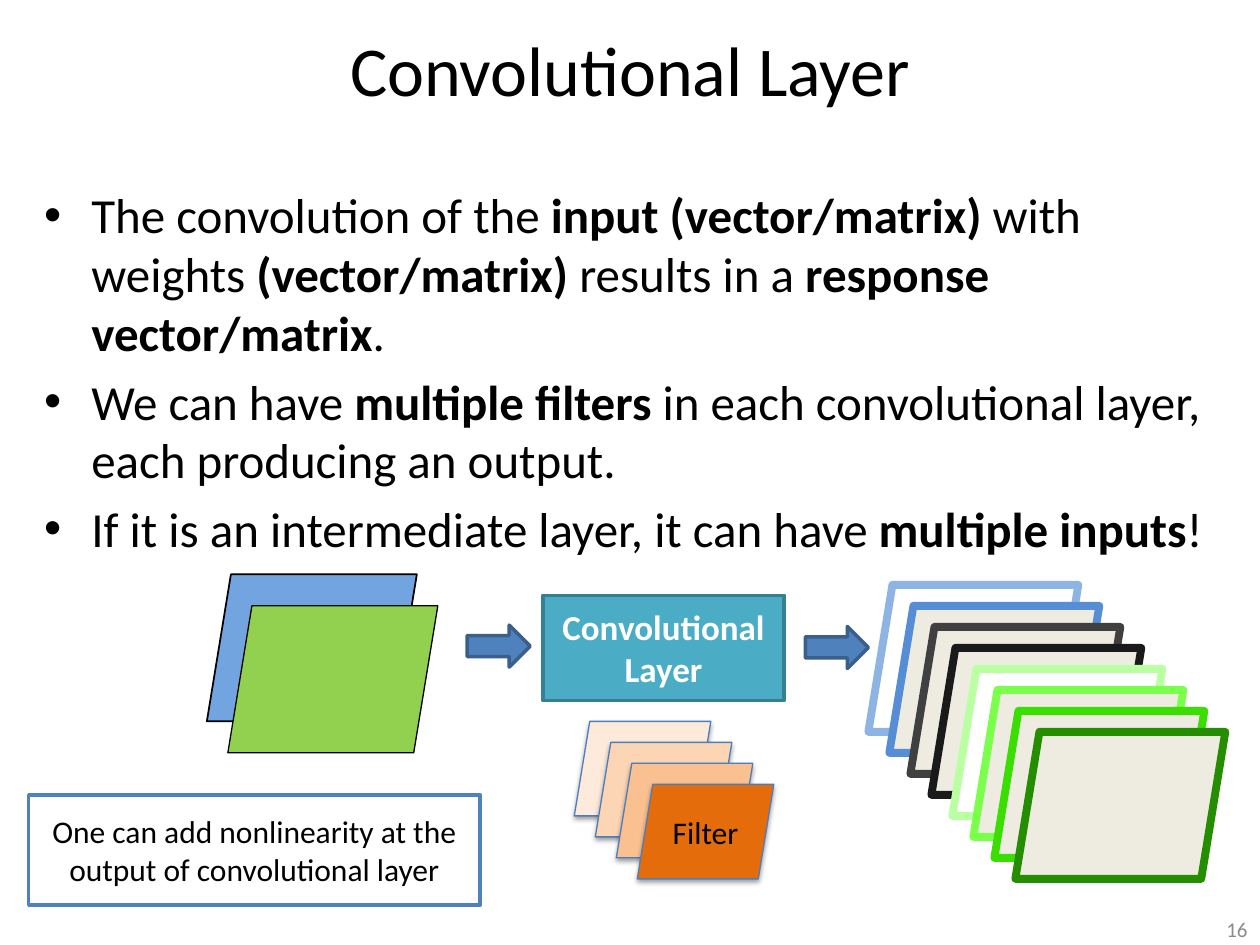
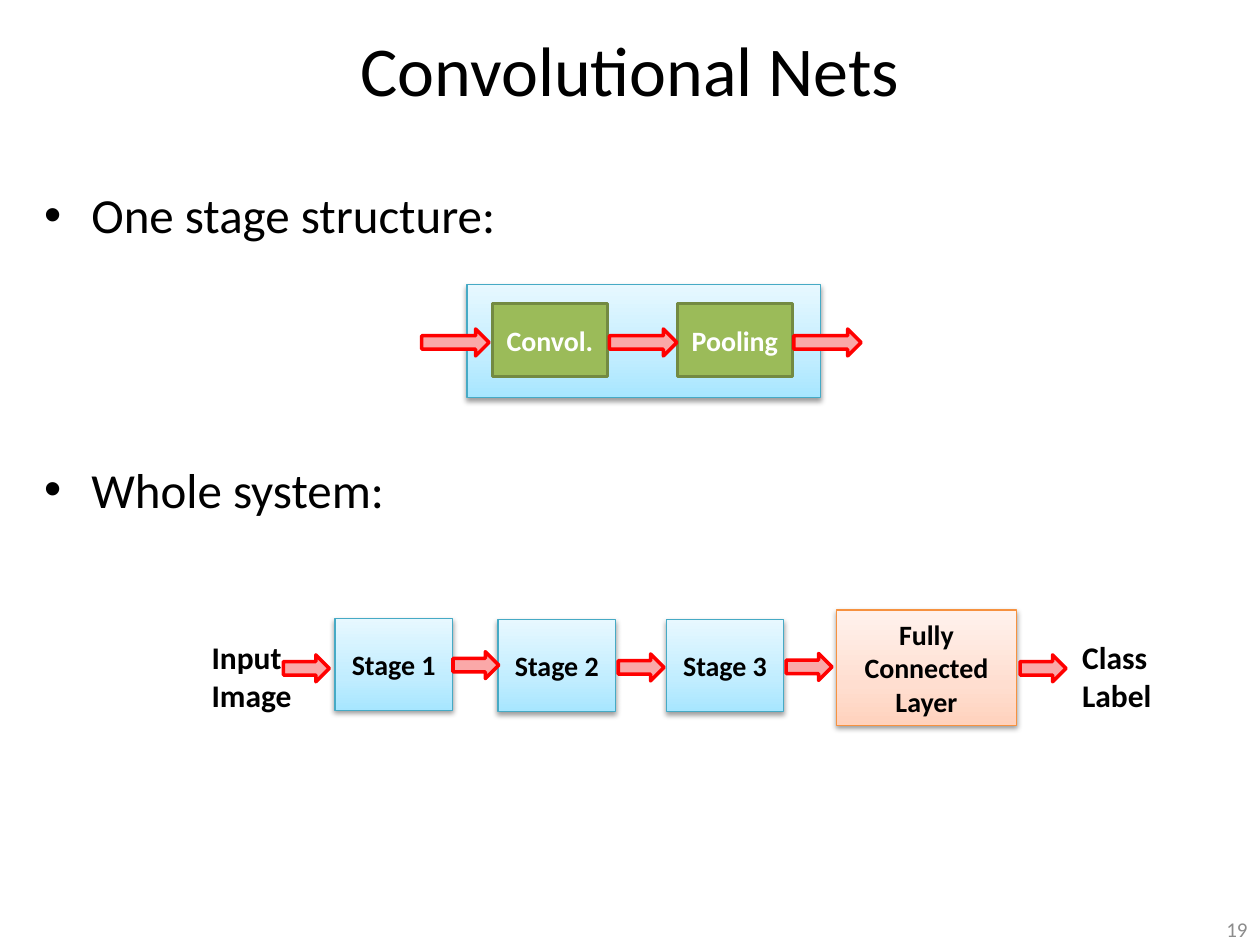
from pptx import Presentation
from pptx.dml.color import RGBColor
from pptx.enum.shapes import MSO_SHAPE as Shape
from pptx.enum.text import MSO_ANCHOR as Anchor, MSO_AUTO_SIZE as AutoSize, PP_ALIGN as Align
from pptx.oxml import parse_xml
from pptx.oxml.ns import nsdecls, qn
from pptx.util import Pt

BLACK, WHITE = "000000", "FFFFFF"
BLUE, BLUE_EDGE, IVORY = "4F81BD", "3A5F8C", "EEECE1"
GREEN, GREEN_EDGE = "9BBB59", "738A42"
PINK, RED = "FAA8A8", "FF0000"
SKY, SKY_EDGE = ((0, "A7E6FF"), (35, "C1EDFF"), (100, "E7F8FF")), "46AAC5"
PEACH, PEACH_EDGE = ((0, "FFD2BD"), (35, "FFDED0"), (100, "FFF2ED")), "F69240"


def rgb(hex_color):
    return RGBColor.from_string(hex_color)


class Deck:
    font = "Calibri"
    bullet_gap = 5.6

    def __init__(self):
        self.prs = Presentation()
        self.prs.slide_width, self.prs.slide_height = Pt(720), Pt(540)

    def slide(self, title, number):
        self.s = self.prs.slides.add_slide(self.prs.slide_layouts[1])
        self.shapes = self.s.shapes
        sp = self.s.shapes.title
        self.place(sp, 0, 0, 720, 78)
        self.set_text(sp, title, 40)
        self.label(552, 522, 168, 18, str(number), 12, color="8C8C8C",
                   align=Align.RIGHT, anchor=Anchor.MIDDLE)

    def group(self):
        self.shapes = self.s.shapes.add_group_shape().shapes

    def place(self, sp, x, y, w, h):
        sp.left, sp.top, sp.width, sp.height = Pt(x), Pt(y), Pt(w), Pt(h)

    def style(self, p, size, color=BLACK, bold=None, align=None):
        p.font.name, p.font.size, p.font.bold = self.font, Pt(size), bold
        p.font.color.rgb = rgb(color)
        p.alignment = align

    def set_text(self, sp, text, size, color=BLACK, bold=None,
                 align=Align.CENTER, anchor=Anchor.MIDDLE):
        tf = sp.text_frame
        tf.word_wrap, tf.vertical_anchor = True, anchor
        tf.text = text
        self.style(tf.paragraphs[0], size, color, bold, align)

    def bullets(self, items):
        sp = self.s.placeholders[1]
        self.place(sp, 18, 102, 684, 414)
        tf = sp.text_frame
        tf.auto_size = AutoSize.NONE
        for i, (text, gap) in enumerate(items):
            p = tf.add_paragraph() if i else tf.paragraphs[0]
            for j, part in enumerate(text.split("**")):
                r = p.add_run()
                r.text = part
                if j % 2:
                    r.font.bold = True
            self.style(p, 28)
            p.space_before = Pt(gap)

    def label(self, x, y, w, h, text, size, color=BLACK, bold=None,
              align=Align.LEFT, anchor=Anchor.TOP):
        sp = self.shapes.add_textbox(Pt(x), Pt(y), Pt(w), Pt(h))
        self.set_text(sp, text, size, color, bold, align, anchor)

    def shape(self, kind, x, y, w, h, fill, line, width, shadow=False):
        sp = self.shapes.add_shape(kind, Pt(x), Pt(y), Pt(w), Pt(h))
        sp.shadow.inherit = False
        sp.line.color.rgb, sp.line.width = rgb(line), Pt(width)
        if isinstance(fill, str):
            sp.fill.solid()
            sp.fill.fore_color.rgb = rgb(fill)
        else:
            self.gradient(sp, fill)
        if shadow:
            self.shadow(sp)
        return sp

    def gradient(self, sp, stops):
        gs = "".join(f'<a:gs pos="{pos * 1000}"><a:srgbClr val="{c}"/></a:gs>' for pos, c in stops)
        sp._element.spPr.find(qn("a:prstGeom")).addnext(parse_xml(
            f'<a:gradFill {nsdecls("a")}><a:gsLst>{gs}</a:gsLst>'
            '<a:lin ang="16200000" scaled="0"/></a:gradFill>'))

    def shadow(self, sp):
        sp._element.spPr.find(qn("a:effectLst")).append(parse_xml(
            f'<a:outerShdw {nsdecls("a")} blurRad="{Pt(3.1)}" dist="{Pt(1.6)}" dir="5400000" '
            'rotWithShape="0"><a:srgbClr val="000000"><a:alpha val="38000"/></a:srgbClr></a:outerShdw>'))

    def box(self, x, y, w, h, fill, line, width=2, text=None, size=16,
            color=WHITE, bold=True, shadow=False):
        sp = self.shape(Shape.RECTANGLE, x, y, w, h, fill, line, width, shadow)
        if text:
            self.set_text(sp, text, size, color, bold)

    def card(self, x, y, w, h, fill, line, width, shadow=False):
        sp = self.shape(Shape.PARALLELOGRAM, x, y, w, h, fill, line, width, shadow)
        sp.adjustments[0] = 0.164
        return sp

    def arrow(self, x, y, w, h, fill=PINK, line=RED):
        self.shape(Shape.RIGHT_ARROW, x, y, w, h, fill, line, 2)


def convolutional_layer(deck):
    deck.slide("Convolutional Layer", 16)
    deck.bullets([(text, deck.bullet_gap) for text in (
        "The convolution of the **input (vector/matrix)** with weights **(vector/matrix) **"
        "results in a **response vector/matrix**.",
        "We can have **multiple filters **in each convolutional layer, each producing an output.",
        "If it is an intermediate layer, it can have **multiple inputs**!")])

    deck.card(118.2, 328.2, 120, 84, "72A4E0", BLACK, 1)
    deck.card(130.2, 346.2, 120, 84, "92D050", BLACK, 0.75)
    deck.box(310.2, 340.2, 138, 60, "4BACC6", "377F92", text="Convolutional Layer", size=20)
    deck.arrow(267, 357.2, 36, 24, BLUE, BLUE_EDGE)
    deck.arrow(460.2, 358, 36, 24, BLUE, BLUE_EDGE)

    step = 12
    for i, fill in enumerate(("FDEADA", "FCD5B5", "FAC090", "E46C0A")):
        front_filter = deck.card(328.2 + i * step, 412.2 + i * step, 78, 54,
                                 fill, "4B7EBC", 0.75, shadow=True)
    deck.set_text(front_filter, "Filter", 18)

    outputs = ((WHITE, "8EB4E3"), (IVORY, "558ED5"), (IVORY, "404040"), (IVORY, "1A1A1A"),
               (WHITE, "BBFFA3"), (IVORY, "7AFF4B"), (IVORY, "3ADE00"), (IVORY, "258E00"))
    for i, (fill, edge) in enumerate(outputs):
        deck.card(496.2 + i * step, 334.2 + i * step, 120, 84, fill, edge, 4.5)

    deck.box(16.4, 454.2, 258, 63, WHITE, BLUE, size=18, color=BLACK, bold=None,
             text="One can add nonlinearity at the output of convolutional layer")


def convolutional_nets(deck):
    deck.slide("Convolutional Nets", 19)
    deck.bullets([("One stage structure:", deck.bullet_gap), ("Whole system:", 123.4)])

    deck.group()
    deck.box(266.8, 162.6, 202.2, 64.6, SKY, SKY_EDGE, 0.75, shadow=True)
    for x, text in ((281.3, "Convol."), (387, "Pooling")):
        deck.box(x, 173.4, 65.8, 41.8, GREEN, GREEN_EDGE, text=text)
    for x in (241, 348.3, 453.6):
        deck.arrow(x, 188, 38.5, 15.4)

    deck.group()
    for i, (x, y) in enumerate(((191.4, 353.4), (284.6, 354.2), (380.7, 354.2)), 1):
        deck.box(x, y, 67.2, 52.5, SKY, SKY_EDGE, 0.75, f"Stage {i}", color=BLACK, shadow=True)
    deck.box(478, 348.5, 102.8, 65.9, PEACH, PEACH_EDGE, 0.75, "Fully Connected Layer",
             color=BLACK, shadow=True)
    for x, y in ((162, 374.2), (258.9, 372.4), (353.3, 373.7), (449.3, 373.4), (583, 374.2)):
        deck.arrow(x, y, 26.2, 15.4)
    for x, text in ((113.8, "Input Image"), (611.3, "Class Label")):
        deck.label(x, 361, 68.4, 41, text, 18, bold=True)


def main():
    deck = Deck()
    convolutional_layer(deck)
    convolutional_nets(deck)
    deck.prs.save("out.pptx")


if __name__ == "__main__":
    main()
